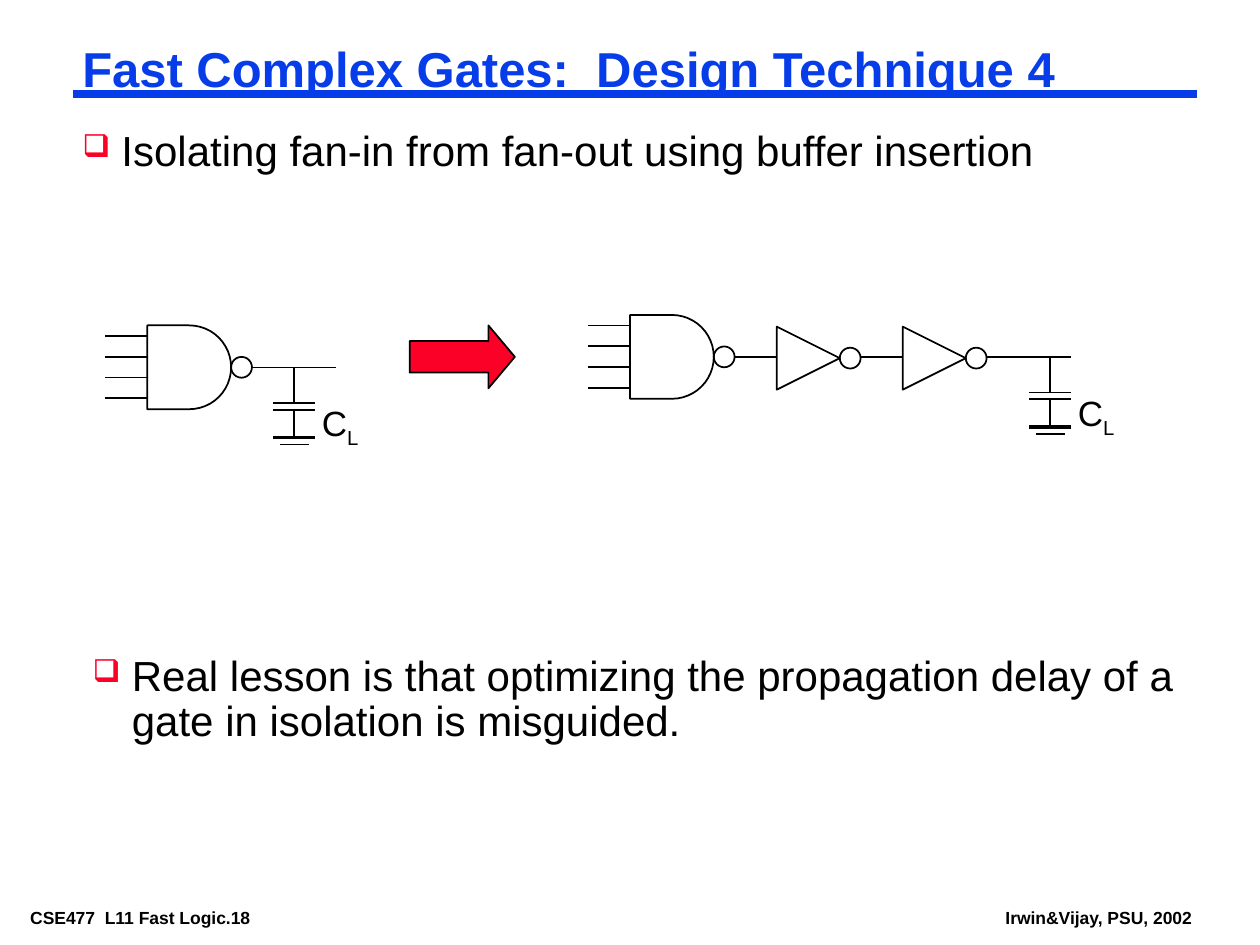
import pptx
import pptx.util
import pptx.dml.color
import pptx.enum.shapes
import pptx.enum.text
import pptx.oxml
import pptx.oxml.ns

Cm, Pt = pptx.util.Cm, pptx.util.Pt
KIND = pptx.enum.shapes.MSO_SHAPE
FIT = pptx.enum.text.MSO_AUTO_SIZE
BLACK, BLUE, RED = "000000", "063DE8", "FC0128"
PIN = 0.85      # length of a gate input
PITCH = 0.42    # gap between inputs, also the bubble size
BODY = 1.69     # size of a gate body
SIDE = 1.27     # size of an inverter triangle


def paint(color, code):
    color.rgb = pptx.dml.color.RGBColor.from_string(code)


def wire(slide, x1, y1, x2, y2, width=1, code=BLACK):
    line = slide.shapes.add_connector(
        pptx.enum.shapes.MSO_CONNECTOR.STRAIGHT, Cm(x1), Cm(y1), Cm(x2), Cm(y2))
    line.line.width = Pt(width)
    paint(line.line.color, code)
    props = line._element.spPr
    props.append(pptx.oxml.parse_xml(
        f"<a:effectLst {pptx.oxml.ns.nsdecls('a')}/>"))


def shape(slide, kind, x, y, w, h, fill=None):
    item = slide.shapes.add_shape(kind, Cm(x), Cm(y), Cm(w), Cm(h))
    item.shadow.inherit = False
    item.line.width = Pt(1)
    paint(item.line.color, BLACK)
    if fill:
        item.fill.solid()
        paint(item.fill.fore_color, fill)
    else:
        item.fill.background()
    return item


def text(slide, x, y, w, h, size, wrap=True, pad=(0.18, 0.08)):
    """Add an empty text box and return its paragraph."""
    frame = slide.shapes.add_textbox(Cm(x), Cm(y), Cm(w), Cm(h)).text_frame
    frame.margin_left = frame.margin_right = Cm(pad[0])
    frame.margin_top = frame.margin_bottom = Cm(pad[1])
    frame.word_wrap = wrap
    frame.auto_size = FIT.NONE if wrap else FIT.SHAPE_TO_FIT_TEXT
    para = frame.paragraphs[0]
    para.font.size = Pt(size)
    return para


def write(para, words, size, code=BLACK, bold=False):
    run = para.add_run()
    run.text = words
    run.font.name = "Arial"
    run.font.size = Pt(size)
    run.font.bold = bold
    paint(run.font.color, code)
    return run


def point(slide, x, y, h, words):
    """Add a text with a red box bullet."""
    para = text(slide, x, y, 22.66, h, 24)
    para.line_spacing = 0.9
    props = para._p.get_or_add_pPr()
    props.set("marL", str(Cm(0.79)))
    props.set("indent", str(-Cm(0.79)))
    space = pptx.oxml.ns.nsdecls("a")
    for tag in (f'<a:buClr {space}><a:srgbClr val="{RED}"/></a:buClr>',
                f'<a:buSzPct {space} val="75000"/>',
                f'<a:buChar {space} char="❑"/>'):
        props.insert_element_before(
            pptx.oxml.parse_xml(tag), "a:tabLst", "a:defRPr", "a:extLst")
    write(para, words, 24)


def bubble(slide, x, y):
    shape(slide, KIND.OVAL, x, y, PITCH, PITCH)


def gate(slide, x, y):
    """Draw a four-input NAND from its pin ends and body top."""
    left = x + PIN
    for row in range(4):
        level = y + PITCH * (row + 0.5)
        wire(slide, x, level, left, level)
    shape(slide, KIND.FLOWCHART_DELAY, left, y, BODY, BODY)
    bubble(slide, left + BODY, y + (BODY - PITCH) / 2)


def invert(slide, x, y):
    """Draw an inverter from the middle of its input side."""
    shape(slide, KIND.FLOWCHART_MERGE, x, y - SIDE / 2, SIDE, SIDE).rotation = 270
    bubble(slide, x + SIDE, y - PITCH / 2)


def load(slide, x, y):
    """Hang a grounded capacitor below a point on a wire."""
    wire(slide, x, y, x, y + 0.71)
    wire(slide, x, y + 0.85, x, y + 1.41)
    for drop, half, width in ((0.71, 0.42, 1), (0.85, 0.42, 1),
                              (1.41, 0.42, 2.25), (1.55, 0.29, 1)):
        wire(slide, x - half, y + drop, x + half, y + drop, width)
    para = text(slide, x + 0.31, y + 0.56, 1.24, 1.22, 20, False, (0.25, 0.13))
    write(para, "C", 20)
    low = write(para, "L", 20)
    low.font._element.set("baseline", "-25000")


def frame(slide):
    """Add footers, rule and title."""
    for x, w, words in ((0.43, 6.12, "CSE477  L11 Fast Logic.18"),
                        (20.09, 4.14, "Irwin&Vijay, PSU, 2002")):
        write(text(slide, x, 18.21, w, 0.56, 10, False), words, 10, bold=True)
    wire(slide, 1.48, 1.9, 24.13, 1.9, 4.5, BLUE)
    title = text(slide, 1.48, 0.85, 22.66, 1.17, 28)
    title.line_spacing = 0.87
    write(title, "Fast Complex Gates:  Design Technique 4", 28, BLUE, True)


def before(slide):
    gate(slide, 2.12, 6.56)
    wire(slide, 5.08, 7.41, 6.77, 7.41)
    load(slide, 5.93, 7.41)


def after(slide):
    gate(slide, 11.85, 6.35)
    for x in (15.66, 18.2):
        wire(slide, x - PIN, 7.2, x, 7.2)
        invert(slide, x, 7.22)
    wire(slide, 19.9, 7.2, 21.59, 7.2)
    load(slide, 21.17, 7.2)


def main():
    deck = pptx.Presentation()
    deck.slide_width, deck.slide_height = Cm(25.4), Cm(19.05)
    slide = deck.slides.add_slide(deck.slide_layouts[6])
    frame(slide)
    point(slide, 1.48, 2.54, 1.06,
          "Isolating fan-in from fan-out using buffer insertion")
    before(slide)
    after(slide)
    arrow = shape(slide, KIND.RIGHT_ARROW, 8.26, 6.56, 2.12, 1.27, RED)
    arrow.adjustments[0], arrow.adjustments[1] = 0.5, 0.42
    point(slide, 1.69, 13.12, 1.98,
          "Real lesson is that optimizing the propagation delay of a "
          "gate in isolation is misguided.")
    deck.save("out.pptx")


if __name__ == "__main__":
    main()
